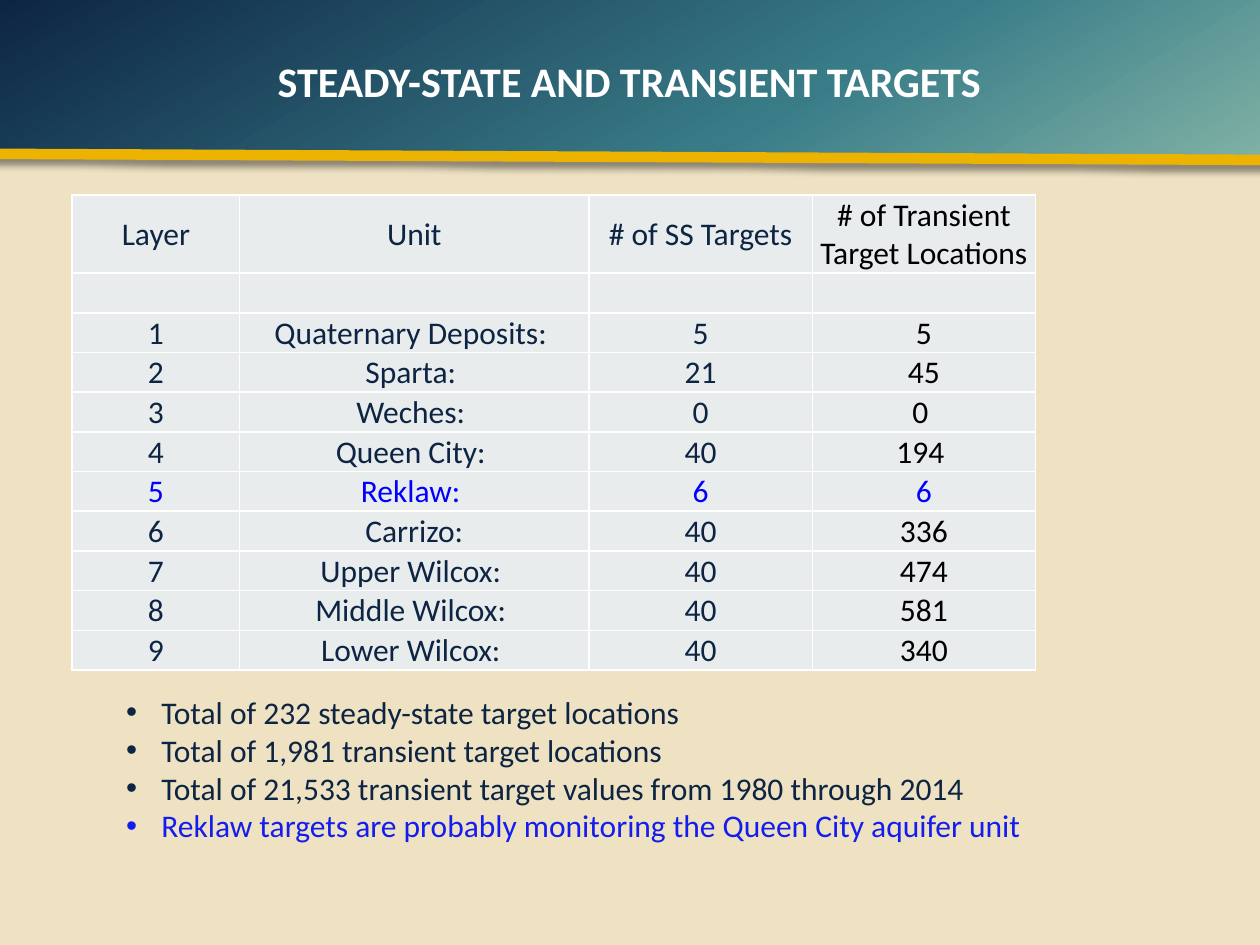
from dataclasses import dataclass

from lxml.etree import SubElement
from pptx import Presentation
from pptx.dml.color import RGBColor
from pptx.enum.shapes import MSO_CONNECTOR as Connector, MSO_SHAPE as Shape
from pptx.enum.text import MSO_ANCHOR as Anchor, MSO_AUTO_SIZE as AutoSize, PP_ALIGN as Align
from pptx.oxml import parse_xml
from pptx.oxml.ns import nsdecls, qn
from pptx.util import Pt


@dataclass(frozen=True)
class Theme:
    """Colours, font and type sizes of the slide."""
    font: str = "Calibri"
    title_size: float = 24
    text_size: float = 18
    sand: str = "EFE2C3"
    navy: str = "0D2543"
    teal: str = "397C88"
    sage: str = "80B2A5"
    gold: str = "ECB400"
    white: str = "FFFFFF"
    black: str = "000000"
    cell: str = "E8ECED"
    table_blue: str = "0000FF"
    list_blue: str = "131DED"


THEME = Theme()
COLUMN_WIDTHS = (95.8, 199.6, 127.6, 127.6)
HEADER_HEIGHT, ROW_HEIGHT = 44.6, 22.4
HIGHLIGHTED_LAYER = "5"
TARGETS = (
    ("Layer", "Unit", "# of SS Targets", "# of Transient Target Locations"),
    ("", "", "", ""),
    ("1", "Quaternary Deposits: ", "5", "5"),
    ("2", "Sparta: ", "21", "45"),
    ("3", "Weches: ", "0", "0 "),
    ("4", "Queen City: ", "40", "194 "),
    ("5", "Reklaw: ", "6", "6"),
    ("6", "Carrizo:", "40", "336"),
    ("7", "Upper Wilcox: ", "40", "474"),
    ("8", "Middle Wilcox: ", "40", "581"),
    ("9", "Lower Wilcox: ", "40", "340"),
)
SUMMARY = (
    ("Total of 232 steady-state target locations", THEME.navy),
    ("Total of 1,981 transient target locations", THEME.navy),
    ("Total of 21,533 transient target values from 1980 through 2014", THEME.navy),
    ("Reklaw targets are probably monitoring the Queen City aquifer unit", THEME.list_blue),
)


def rgb(color):
    """Turn a hex string into a colour."""
    return RGBColor.from_string(color)


def place(shape, left, top, width, height):
    """Move and size a shape in points."""
    shape.left, shape.top, shape.width, shape.height = map(Pt, (left, top, width, height))


def style(paragraph, size, color, bold=False):
    """Set the font of a whole paragraph."""
    font = paragraph.font
    font.name, font.size, font.bold = THEME.font, Pt(size), bold
    font.color.rgb = rgb(color)


def add_shadow(properties):
    """Append a soft shadow falling to the lower right."""
    properties.append(parse_xml(
        f'<a:effectLst {nsdecls("a")}><a:outerShdw blurRad="{Pt(4)}" dist="{Pt(4)}" dir="2700000">'
        f'<a:srgbClr val="{THEME.black}"><a:alpha val="43000"/></a:srgbClr>'
        '</a:outerShdw></a:effectLst>'))


def add_banner(slide):
    """Draw the gradient band and the gold rule below it."""
    band = slide.shapes.add_shape(Shape.RECTANGLE, 0, 0, Pt(725), Pt(90))
    band.shadow.inherit = False
    band.line.fill.background()
    stops = "".join(
        f'<a:gs pos="{percent * 1000}"><a:srgbClr val="{color}"/></a:gs>'
        for percent, color in ((0, THEME.navy), (63, THEME.teal), (100, THEME.sage)))
    geometry = band.element.spPr.find(qn("a:prstGeom"))
    geometry.addnext(parse_xml(
        f'<a:gradFill {nsdecls("a")} rotWithShape="1"><a:gsLst>{stops}</a:gsLst>'
        '<a:lin ang="3600000" scaled="0"/></a:gradFill>'))
    rule = slide.shapes.add_connector(
        Connector.STRAIGHT, Pt(-6.5), Pt(87.9), Pt(726.5), Pt(91.4))
    rule.line.color.rgb = rgb(THEME.gold)
    rule.line.width = Pt(6)
    add_shadow(rule.element.spPr)


def fill_title(slide, wording):
    """Write the title in front of the banner."""
    title = slide.shapes.title
    slide.shapes.element.append(title.element)
    place(title, 25.2, 28.1, 668.9, 31.7)
    frame = title.text_frame
    frame.text = wording
    frame.vertical_anchor, frame.auto_size = Anchor.TOP, AutoSize.NONE
    heading = frame.paragraphs[0]
    heading.alignment = Align.CENTER
    style(heading, THEME.title_size, THEME.white, bold=True)
    add_shadow(heading.runs[0].font._element)


def format_cell(cell, wording, color):
    """Fill one table cell and give it white borders."""
    cell.margin_left = cell.margin_right = cell.margin_top = Pt(0.7)
    cell.margin_bottom = 0
    cell.vertical_anchor = Anchor.MIDDLE
    cell.text = wording
    entry = cell.text_frame.paragraphs[0]
    entry.alignment = Align.CENTER
    style(entry, THEME.text_size, color)
    properties = cell._tc.get_or_add_tcPr()
    for side in ("a:lnL", "a:lnR", "a:lnT", "a:lnB"):
        border = SubElement(properties, qn(side), w=str(Pt(1)))
        paint = SubElement(border, qn("a:solidFill"))
        SubElement(paint, qn("a:srgbClr"), val=THEME.white)
    cell.fill.solid()
    cell.fill.fore_color.rgb = rgb(THEME.cell)


def add_targets(slide):
    """Add the table of targets by layer."""
    height = HEADER_HEIGHT + ROW_HEIGHT * (len(TARGETS) - 1)
    table = slide.shapes.add_table(
        len(TARGETS), len(COLUMN_WIDTHS), Pt(41.2), Pt(111.4),
        Pt(sum(COLUMN_WIDTHS)), Pt(height)).table
    for column, width in zip(table.columns, COLUMN_WIDTHS):
        column.width = Pt(width)
    column_colors = (THEME.navy,) * 3 + (THEME.black,)
    for index, layer in enumerate(TARGETS):
        table.rows[index].height = Pt(ROW_HEIGHT if index else HEADER_HEIGHT)
        highlighted = layer[0] == HIGHLIGHTED_LAYER
        for cell, wording, color in zip(table.rows[index].cells, layer, column_colors):
            format_cell(cell, wording, THEME.table_blue if highlighted else color)


def fill_summary(slide):
    """Write the bulleted totals below the table."""
    summary = slide.placeholders[1]
    slide.shapes.element.append(summary.element)
    place(summary, 64.8, 392.4, 527, 94.3)
    frame = summary.text_frame
    frame.text = "\n".join(wording for wording, _ in SUMMARY)
    frame.auto_size, frame.vertical_anchor = AutoSize.SHAPE_TO_FIT_TEXT, Anchor.TOP
    for point, (_, color) in zip(frame.paragraphs, SUMMARY):
        point.space_before = Pt(0)
        properties = point._p.get_or_add_pPr()
        properties.set("marL", str(Pt(20.2)))
        properties.set("indent", str(Pt(-20.2)))
        SubElement(properties, qn("a:buFont"), typeface="Arial")
        SubElement(properties, qn("a:buChar"), char="•")
        style(point, THEME.text_size, color)


def main():
    """Build the slide and save it."""
    deck = Presentation()
    deck.slide_width, deck.slide_height = Pt(720), Pt(540)
    slide = deck.slides.add_slide(deck.slide_layouts[1])
    slide.background.fill.solid()
    slide.background.fill.fore_color.rgb = rgb(THEME.sand)
    add_banner(slide)
    fill_title(slide, "STEADY-STATE AND TRANSIENT TARGETS")
    add_targets(slide)
    fill_summary(slide)
    deck.save("out.pptx")


if __name__ == "__main__":
    main()
